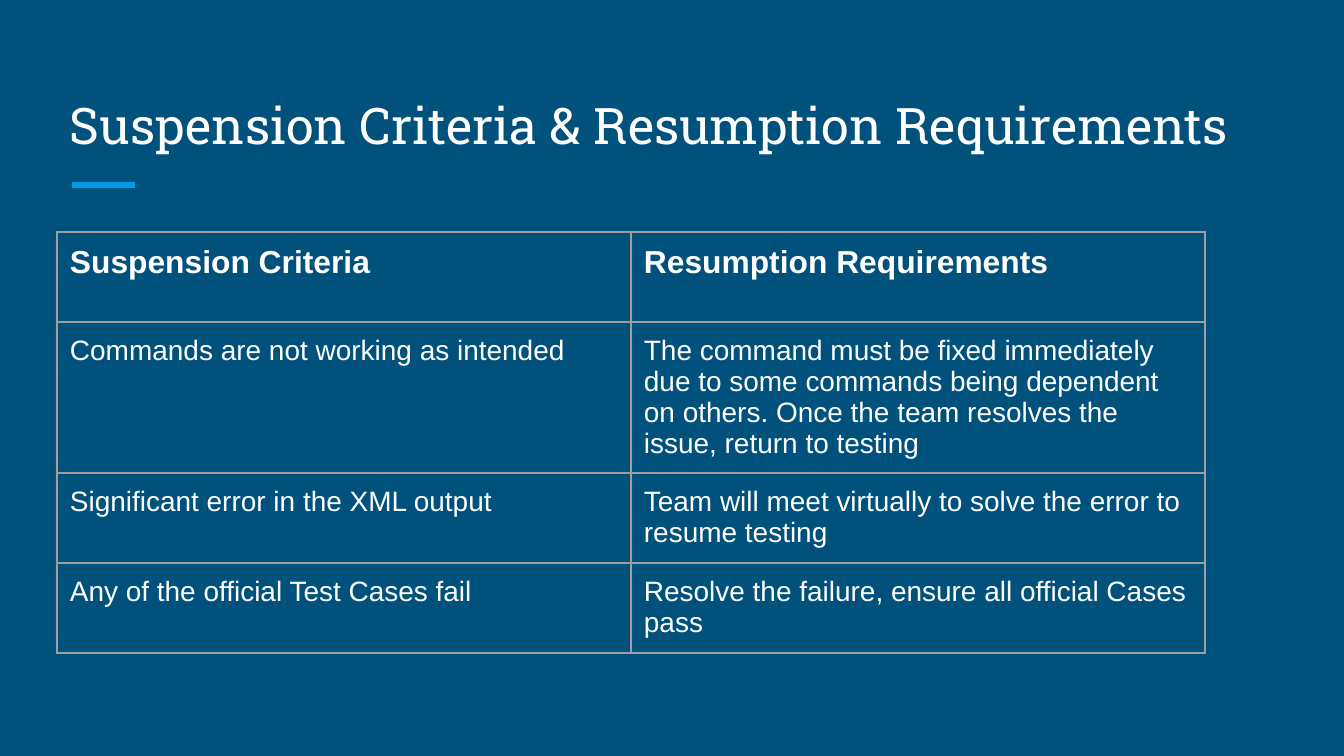
from lxml.etree import SubElement
from pptx import Presentation
from pptx.dml.color import RGBColor
from pptx.enum.shapes import MSO_CONNECTOR
from pptx.enum.text import MSO_ANCHOR, MSO_AUTO_SIZE, PP_ALIGN
from pptx.oxml.ns import qn
from pptx.util import Pt

PX = 6804
COLORS = {"bg": "00517C", "accent": "039BE5", "text": "FFFFFF", "border": "9E9E9E"}
INSET = 13 * PX
ROWS = [
    ("Suspension Criteria", "Resumption Requirements"),
    ("Commands are not working as intended",
     "The command must be fixed immediately due to some commands being dependent "
     "on others. Once the team resolves the issue, return to testing"),
    ("Significant error in the XML output",
     "Team will meet virtually to solve the error to resume testing"),
    ("Any of the official Test Cases fail",
     "Resolve the failure, ensure all official Cases pass"),
]
ROW_HEIGHTS = [90, 151, 90, 90]
COL_WIDTH = 574


def write(tf, text, size, font="Arial", bold=False):
    p = tf.paragraphs[0]
    p.alignment = PP_ALIGN.LEFT
    r = p.add_run()
    r.text = text
    r.font.size = Pt(size)
    r.font.name = font
    r.font.bold = bold
    r.font.color.rgb = RGBColor.from_string(COLORS["text"])


def add_borders(cell):
    tcPr = cell._tc.get_or_add_tcPr()
    for i, side in enumerate(("a:lnL", "a:lnR", "a:lnT", "a:lnB")):
        ln = SubElement(tcPr, qn(side), w=str(Pt(0.75)))
        fill = SubElement(ln, qn("a:solidFill"))
        SubElement(fill, qn("a:srgbClr"), val=COLORS["border"])
        tcPr.insert(i, ln)


prs = Presentation()
prs.slide_width = 1344 * PX
prs.slide_height = 756 * PX
s = prs.slides.add_slide(prs.slide_layouts[5])
s.background.fill.solid()
s.background.fill.fore_color.rgb = RGBColor.from_string(COLORS["bg"])

line = s.shapes.add_connector(MSO_CONNECTOR.STRAIGHT, 72 * PX, 185 * PX, 135 * PX, 185 * PX)
line.line.color.rgb = RGBColor.from_string(COLORS["accent"])
line.line.width = Pt(3)
SubElement(line._element.spPr, qn("a:effectLst"))

title = s.shapes.title
title.left, title.top, title.width, title.height = 57 * PX, 67 * PX, 1230 * PX, 101 * PX
tf = title.text_frame
tf.auto_size = MSO_AUTO_SIZE.NONE
tf.word_wrap = True
tf.vertical_anchor = MSO_ANCHOR.BOTTOM
tf.margin_left = tf.margin_right = tf.margin_top = tf.margin_bottom = INSET
write(tf, "Suspension Criteria & Resumption Requirements", 27, font="Roboto Slab")

table = s.shapes.add_table(
    len(ROWS), 2, 57 * PX, 232 * PX, 2 * COL_WIDTH * PX, sum(ROW_HEIGHTS) * PX
).table
table.first_row = False
table.horz_banding = False
for col in table.columns:
    col.width = COL_WIDTH * PX
for i, texts in enumerate(ROWS):
    table.rows[i].height = ROW_HEIGHTS[i] * PX
    for j, text in enumerate(texts):
        cell = table.cell(i, j)
        cell.margin_left = cell.margin_right = INSET
        cell.margin_top = cell.margin_bottom = INSET
        cell.fill.background()
        add_borders(cell)
        write(cell.text_frame, text, 17 if i == 0 else 15, bold=i == 0)

prs.save("out.pptx")
